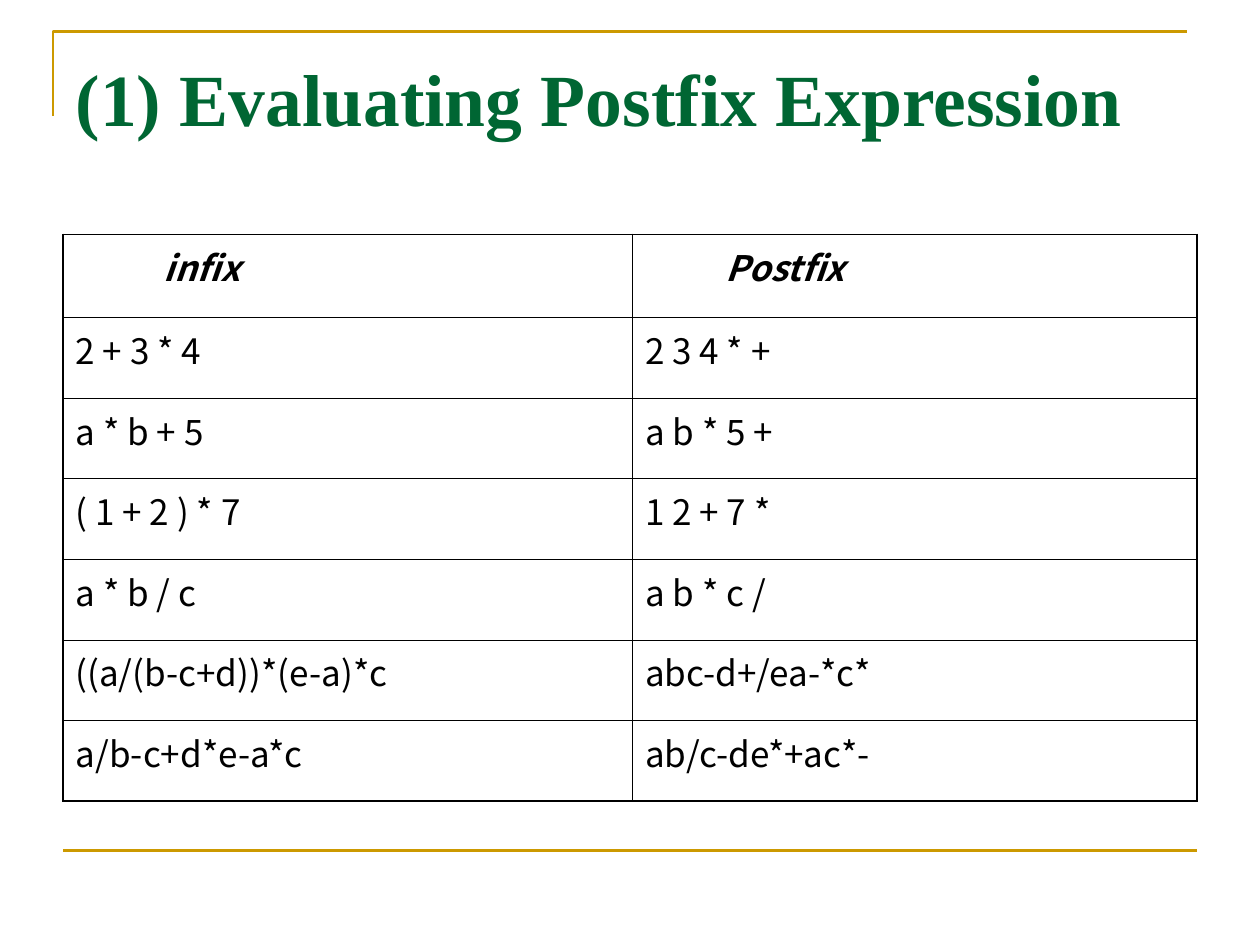
from dataclasses import dataclass

from lxml import etree
from pptx import Presentation
from pptx import util as u
from pptx.dml.color import RGBColor
from pptx.enum import shapes, text
from pptx.oxml import ns


@dataclass(frozen=True)
class Theme:
    gold: str = "CC9900"
    green: str = "006633"
    black: str = "000000"
    serif: str = "Times New Roman"
    sans: str = "Noto Sans CJK SC"
    head: float = 42
    body: float = 20
    rule: float = 1.5
    thin: float = 0.45
    thick: float = 0.96


class Deck:
    def __init__(self, theme):
        self.theme = theme
        self.prs = Presentation()
        self.prs.slide_width = u.Inches(10)
        self.prs.slide_height = u.Inches(7.5)
        self.slide = self.prs.slides.add_slide(self.prs.slide_layouts[5])

    def style(self, font, name, size, color, bold=False, italic=False):
        font.name, font.size = name, u.Pt(size)
        font.bold, font.italic = bold, italic
        font.color.rgb = RGBColor.from_string(color)

    def stroke(self, line):
        line.color.rgb = RGBColor.from_string(self.theme.gold)
        line.width = u.Pt(self.theme.rule)

    def corner(self, left, top, right, low):
        pen = self.slide.shapes.build_freeform(
            u.Inches(left), u.Inches(low), scale=1.0)
        pen.add_line_segments(
            [(u.Inches(left), u.Inches(top)), (u.Inches(right), u.Inches(top))],
            close=False)
        shape = pen.convert_to_shape()
        shape.shadow.inherit = False
        shape.fill.background()
        self.stroke(shape.line)

    def rule(self, left, right, top):
        line = self.slide.shapes.add_connector(
            shapes.MSO_CONNECTOR.STRAIGHT, u.Inches(left), u.Inches(top),
            u.Inches(right), u.Inches(top))
        etree.SubElement(line._element.spPr, ns.qn("a:effectLst"))
        self.stroke(line.line)

    def title(self, words, left, top, width, height):
        box = self.slide.shapes.title
        box.left, box.top = u.Inches(left), u.Inches(top)
        box.width, box.height = u.Inches(width), u.Inches(height)
        frame = box.text_frame
        frame.text = words
        frame.word_wrap = True
        frame.auto_size = text.MSO_AUTO_SIZE.NONE
        frame.vertical_anchor = text.MSO_ANCHOR.TOP
        frame.margin_top = u.Inches(0.12)
        para = frame.paragraphs[0]
        para.alignment = text.PP_ALIGN.LEFT
        t = self.theme
        self.style(para.runs[0].font, t.serif, t.head, t.green, bold=True)

    def edges(self, cell, outer):
        """Draw the four borders, thick on the sides named in outer."""
        props = cell._tc.get_or_add_tcPr()
        for spot, side in enumerate("LRTB"):
            width = self.theme.thick if side in outer else self.theme.thin
            line = etree.Element(ns.qn(f"a:ln{side}"), w=str(u.Pt(width)))
            fill = etree.SubElement(line, ns.qn("a:solidFill"))
            etree.SubElement(fill, ns.qn("a:srgbClr"), val=self.theme.black)
            props.insert(spot, line)

    def table(self, data, left, top, cols, rows, shifts):
        """Fill a grid; shifts are the indents of the header cells."""
        grid = self.slide.shapes.add_table(
            len(rows), len(cols), u.Inches(left), u.Inches(top),
            u.Inches(sum(cols)), u.Inches(sum(rows))).table
        grid.first_row = grid.horz_banding = False
        for col, width in zip(grid.columns, cols):
            col.width = u.Inches(width)
        t = self.theme
        for r, (row, height) in enumerate(zip(data, rows)):
            grid.rows[r].height = u.Inches(height)
            for c, words in enumerate(row):
                cell = grid.cell(r, c)
                cell.text = words
                cell.fill.background()
                para = cell.text_frame.paragraphs[0]
                if r == 0:
                    para._p.get_or_add_pPr().set(
                        "marL", str(u.Inches(shifts[c])))
                self.style(para.runs[0].font, t.sans, t.body, t.black,
                           bold=r == 0, italic=r == 0)
                outer = "L" if c == 0 else "R"
                outer += {0: "T", len(rows) - 1: "B"}.get(r, "")
                self.edges(cell, outer)


def main():
    deck = Deck(Theme())
    deck.corner(0.42, 0.25, 9.42, 0.92)
    deck.rule(0.5, 9.5, 6.75)
    deck.title("(1) Evaluating Postfix Expression", 0.5, 0.3, 9, 1.25)
    pairs = [
        ("infix", "Postfix"),
        ("2 + 3 * 4", "2 3 4 * +"),
        ("a * b + 5", "a b * 5 +"),
        ("( 1 + 2 ) * 7", "1 2 + 7 *"),
        ("a * b / c", "a b * c /"),
        ("((a/(b-c+d))*(e-a)*c", "abc-d+/ea-*c*"),
        ("a/b-c+d*e-a*c", "ab/c-de*+ac*-"),
    ]
    deck.table(pairs, 0.5, 1.86, cols=[4.52, 4.48],
               rows=[0.66] + [0.64] * 6, shifts=[0.7, 0.64])
    deck.prs.save("out.pptx")


if __name__ == "__main__":
    main()
